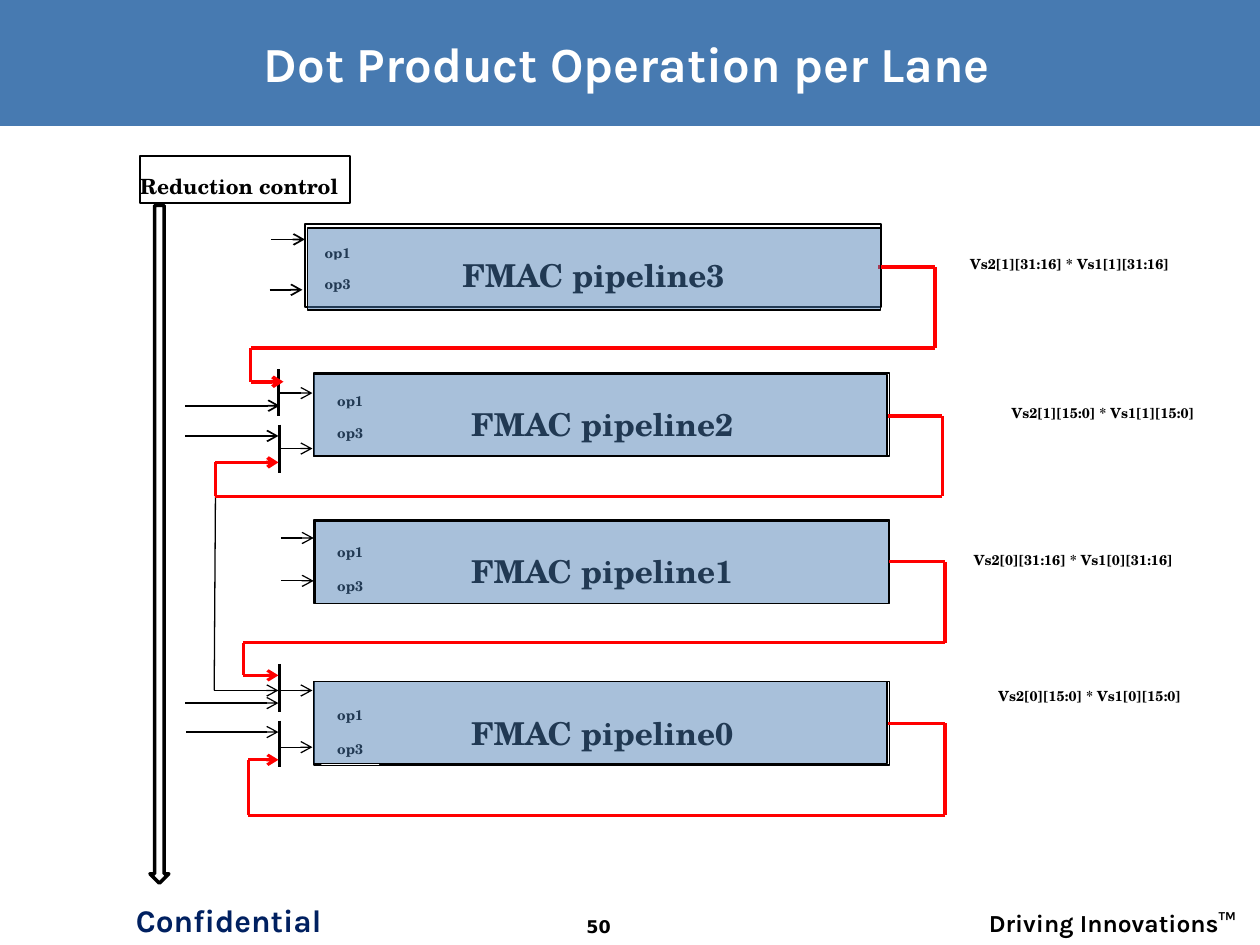
import itertools

import pptx
import pptx.dml.color
import pptx.enum.shapes
import pptx.enum.text
import pptx.oxml
import pptx.util
from pptx.oxml.ns import nsdecls, qn
from pptx.util import Inches

COLORS = {"blue": "477AB1", "navy": "002060", "red": "FF0000", "black": "000000", "white": "FFFFFF"}
SERIF, SANS, NUMBER_FONT = "TeX Gyre Schola", "Karla", "DejaVu Sans"
SHAPES = pptx.enum.shapes.MSO_SHAPE
ALIGN = pptx.enum.text.PP_ALIGN
ANCHOR = pptx.enum.text.MSO_ANCHOR

# name, box left, box top, tint left, tint top, op left, op tops
PIPELINES = [
    ("FMAC pipeline3", 2.42, 1.78, 2.44, 1.81, 2.45, (1.81, 2.06)),
    ("FMAC pipeline2", 2.49, 2.96, 2.49, 2.97, 2.55, (2.99, 3.24)),
    ("FMAC pipeline1", 2.49, 4.13, 2.5, 4.14, 2.55, (4.19, 4.46)),
    ("FMAC pipeline0", 2.49, 5.41, 2.49, 5.41, 2.55, (5.48, 5.75)),
]
PRODUCTS = [
    ("Vs2[1][31:16] * Vs1[1][31:16]", 7.5, 1.9, 1.98),
    ("Vs2[1][15:0] * Vs1[1][15:0]", 7.51, 3.08, 2.49),
    ("Vs2[0][31:16] * Vs1[0][31:16]", 7.56, 4.25, 1.92),
    ("Vs2[0][15:0] * Vs1[0][15:0]", 7.57, 5.33, 2.16),
]
# left, top, bottom of each operand multiplexer
MULTIPLEXERS = [(2.21, 2.93, 3.3), (2.22, 3.37, 3.75), (2.22, 5.27, 5.65), (2.22, 5.72, 6.09)]
# left, right, y, line width
INPUT_ARROWS = [
    (2.15, 2.42, 1.9, 1), (2.14, 2.4, 2.3, 1),
    (1.47, 2.22, 3.22, 1), (1.47, 2.21, 3.46, 1),
    (2.21, 2.48, 3.12, 0.75), (2.22, 2.48, 3.56, 0.75),
    (2.23, 2.49, 4.27, 0.75), (2.23, 2.49, 4.61, 0.75),
    (1.47, 2.21, 5.58, 0.75), (1.48, 2.21, 5.81, 0.75),
    (2.22, 2.48, 5.48, 0.75), (2.22, 2.48, 5.93, 0.75),
]
# colour, line width, corner points
FEEDBACK_ROUTES = [
    ("red", 2, [(6.97, 2.12), (7.42, 2.12), (7.42, 2.76), (1.99, 2.76), (1.99, 3.03), (2.25, 3.03)]),
    ("red", 2, [(7.03, 3.3), (7.48, 3.3), (7.48, 3.94), (1.71, 3.94), (1.71, 3.67), (2.21, 3.67)]),
    ("red", 1.75, [(7.05, 4.46), (7.5, 4.46), (7.5, 5.1), (1.93, 5.1), (1.93, 5.36), (2.21, 5.36)]),
    ("red", 1.75, [(7.05, 5.74), (7.5, 5.74), (7.5, 6.47), (1.97, 6.47), (1.97, 6.03), (2.21, 6.03)]),
    ("black", 0.75, [(1.71, 3.94), (1.7, 5.48), (2.21, 5.48)]),
]


def rgb(name):
    return pptx.dml.color.RGBColor.from_string(COLORS[name])


def write_text(shape, text, size, font=SERIF, color="black", align=ALIGN.CENTER,
               anchor=ANCHOR.MIDDLE, spacing=None):
    frame = shape.text_frame
    frame.text = text
    frame.word_wrap = True
    frame.vertical_anchor = anchor
    paragraph = frame.paragraphs[0]
    paragraph.alignment = align
    paragraph.line_spacing = spacing
    run = paragraph.runs[0]
    run.font.size = pptx.util.Pt(size)
    run.font.name = font
    run.font.bold = True
    run.font.color.rgb = rgb(color)
    return run


def add_box(slide, left, top, width, height, fill=None, line_width=None, kind=SHAPES.RECTANGLE):
    shape = slide.shapes.add_shape(kind, Inches(left), Inches(top), Inches(width), Inches(height))
    shape.shadow.inherit = False
    if fill:
        shape.fill.solid()
        shape.fill.fore_color.rgb = rgb(fill)
    else:
        shape.fill.background()
    if line_width:
        shape.line.color.rgb = rgb("black")
        shape.line.width = pptx.util.Pt(line_width)
    else:
        shape.line.fill.background()
    return shape


def add_framed_text(slide, text, left, top, width, height, size, indent=0):
    """Outlined box whose left-aligned text starts at the given indent."""
    shape = add_box(slide, left, top, width, height, "white", 1)
    write_text(shape, text, size, align=ALIGN.LEFT, spacing=1.5)
    shape.text_frame.margin_left = shape.text_frame.margin_right = 0
    properties = shape.text_frame.paragraphs[0]._p.get_or_add_pPr()
    properties.set("marL", "0")
    properties.set("indent", str(Inches(indent)))


def add_label(slide, text, left, top, width):
    write_text(add_box(slide, left, top, width, 0.32, "white"), text, 8, spacing=1.5)


def add_text(slide, text, left, top, width, height, size, **style):
    shape = slide.shapes.add_textbox(Inches(left), Inches(top), Inches(width), Inches(height))
    return write_text(shape, text, size, **style)


def add_line(slide, start, end, color, width, arrow=False):
    line = slide.shapes.add_connector(pptx.enum.shapes.MSO_CONNECTOR.STRAIGHT,
                                      *(Inches(value) for value in (*start, *end)))
    line.line.color.rgb = rgb(color)
    line.line.width = pptx.util.Pt(width)
    if arrow:
        line.line._get_or_add_ln().append(
            pptx.oxml.parse_xml(f'<a:tailEnd {nsdecls("a")} type="arrow"/>'))
    line._element.spPr.append(pptx.oxml.parse_xml(f'<a:effectLst {nsdecls("a")}/>'))


def add_route(slide, color, width, points):
    """Chain of straight lines with an arrowhead at the last point."""
    for start, end in itertools.pairwise(points):
        add_line(slide, start, end, color, width, arrow=end == points[-1])


def add_tint(slide, left, top):
    shape = add_box(slide, left, top, 4.55, 0.65, "blue", 0.75)
    color = shape._element.spPr.find(qn("a:solidFill"))[0]
    color.append(pptx.oxml.parse_xml(f'<a:alpha {nsdecls("a")} val="47000"/>'))


def add_text_shadow(run):
    fill = run._r.get_or_add_rPr().find(qn("a:solidFill"))
    fill.addnext(pptx.oxml.parse_xml(
        f'<a:effectLst {nsdecls("a")}><a:outerShdw dist="38100" dir="2700000">'
        f'<a:srgbClr val="{COLORS["black"]}"/></a:outerShdw></a:effectLst>'))


def add_title_and_footer(slide):
    add_box(slide, 0, 0, 10, 1, "blue")
    add_text_shadow(add_text(slide, "Dot Product Operation per Lane", 0.22, 0.17, 9.51, 0.66, 28,
                             font=SANS, color="white"))
    add_text(slide, "Confidential", 0.94, 7.1, 1.75, 0.42, 18, font=SANS, color="navy",
             anchor=ANCHOR.TOP)
    add_text(slide, "50", 4.29, 7.22, 0.92, 0.28, 10, font=NUMBER_FONT, anchor=ANCHOR.TOP)
    add_text(slide, "Driving Innovations™", 7.54, 7.16, 2.37, 0.27, 14, font=SANS,
             align=ALIGN.RIGHT, anchor=ANCHOR.TOP)


def main():
    presentation = pptx.Presentation()
    presentation.slide_width, presentation.slide_height = Inches(10), Inches(7.5)
    slide = presentation.slides.add_slide(presentation.slide_layouts[6])
    add_title_and_footer(slide)

    add_framed_text(slide, "Reduction control", 1.11, 1.24, 1.67, 0.37, 12)
    add_box(slide, 1.19, 1.63, 0.15, 5.38, line_width=2, kind=SHAPES.DOWN_ARROW)
    for name, left, top, _, _, op_left, op_tops in PIPELINES:
        add_framed_text(slide, name, left, top, 4.57, 0.66, 18, indent=1.25)
        for operand, op_top in zip(("op1", "op3"), op_tops):
            add_label(slide, operand, op_left, op_top, 0.46)
    for product in PRODUCTS:
        add_label(slide, *product)

    for left, top, bottom in MULTIPLEXERS:
        add_line(slide, (left, top), (left, bottom), "black", 1.75)
    for left, right, y, width in INPUT_ARROWS:
        add_line(slide, (left, y), (right, y), "black", width, arrow=True)
    for route in reversed(FEEDBACK_ROUTES):
        add_route(slide, *route)
    for _, _, _, tint_left, tint_top, _, _ in PIPELINES:
        add_tint(slide, tint_left, tint_top)

    presentation.save("out.pptx")


if __name__ == "__main__":
    main()
